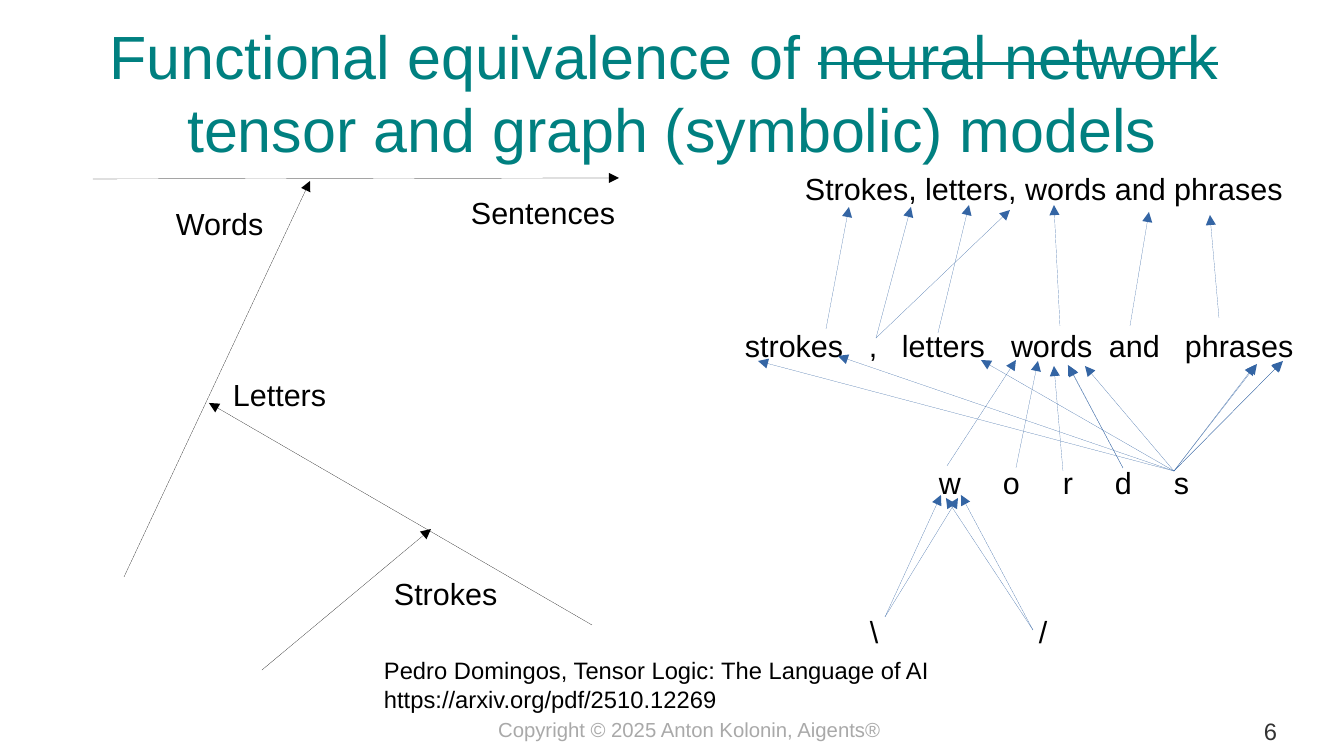
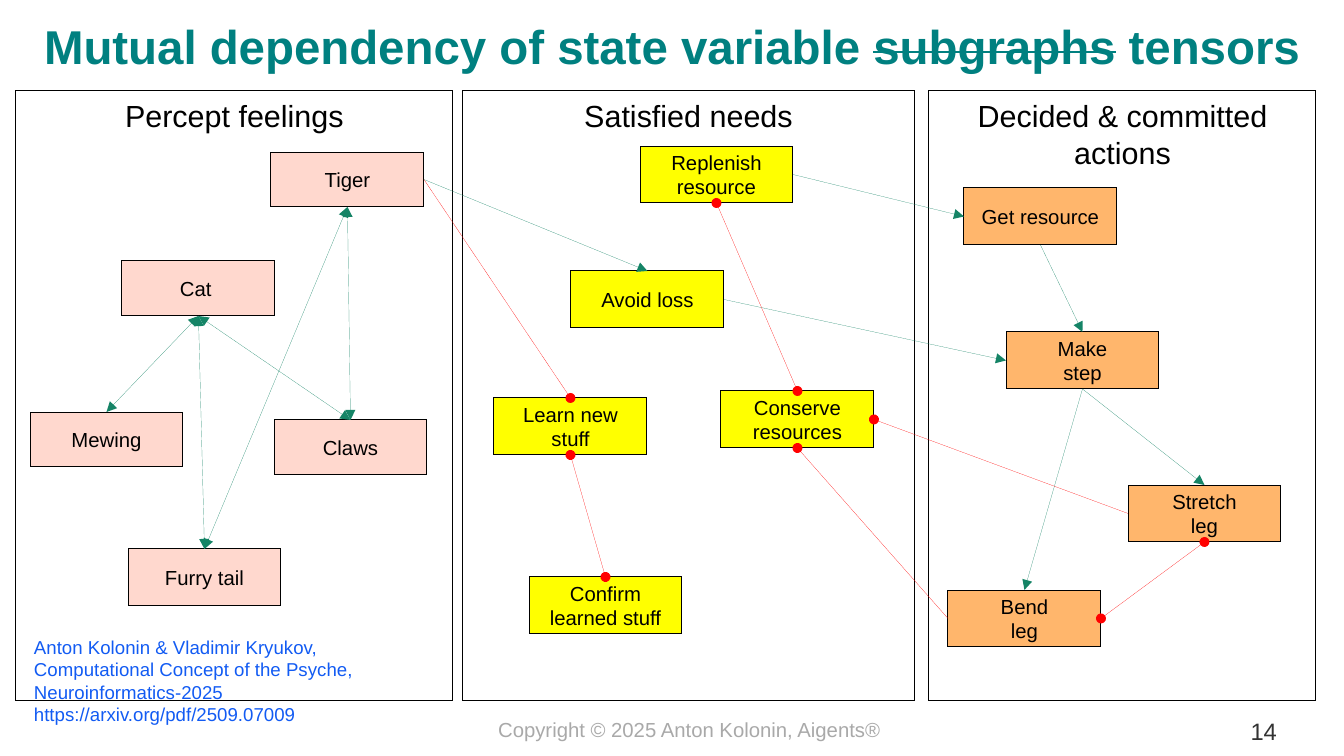
import dataclasses

import lxml.etree
import pptx
import pptx.dml.color
import pptx.enum.shapes
import pptx.enum.text
import pptx.oxml.ns
import pptx.util

UNIT = 914400 / 122
WIDE, HIGH = 1344, 756
TOP, LEFT, BASE, RIGHT = range(4)
ALIGN = pptx.enum.text.PP_ALIGN
ANCHOR = pptx.enum.text.MSO_ANCHOR


@dataclasses.dataclass(frozen=True)
class Theme:
    """Colours and type sizes of the deck."""
    face: str = "Arial"
    teal: str = "008080"
    ink: str = "000000"
    grey: str = "A9A9A9"
    dark: str = "333333"
    blue: str = "3465A4"
    link: str = "125BF3"
    green: str = "158466"
    red: str = "FF0000"
    pink: str = "FFD8CE"
    gold: str = "FFFF00"
    peach: str = "FFB66C"
    head: int = 36
    bold: int = 28
    body: int = 18
    note: int = 14
    small: int = 12
    cite: int = 11


THEME = Theme()


def px(num):
    """Turn px into EMU."""
    return pptx.util.Emu(round(num * UNIT))


def rgb(code):
    """Turn a hex code into a colour."""
    return pptx.dml.color.RGBColor.from_string(code)


def put(item, form):
    """Set each named value on an object."""
    for name, value in form.items():
        setattr(item, name, value)


def hair(line, code):
    """Make a line a coloured hairline and return its element."""
    line.color.rgb = rgb(code)
    pen = line._get_or_add_ln()
    pen.set("w", "0")
    return pen


class Deck:
    """Holds the style and the current slide."""

    def __init__(self, theme):
        """Start an empty deck."""
        self.theme = theme
        self.show = pptx.Presentation()
        put(self.show, {"slide_width": px(WIDE), "slide_height": px(HIGH)})
        self.slide = None

    def page(self, num):
        """Add a slide with its footer and number."""
        look = self.theme
        self.slide = self.show.slides.add_slide(self.show.slide_layouts[6])
        self.text((381, 717, 617, 24), ["Copyright © 2025 Anton Kolonin, Aigents®"],
                  look.small, look.grey, ALIGN.CENTER)
        self.text((1177, 717, 100, 24), [str(num)], look.note, look.dark, ALIGN.RIGHT)

    def fill(self, shape, lines, size, code, align, bold=False):
        """Write lines; a run in a tuple is struck out."""
        frame = shape.text_frame
        frame.word_wrap = True
        form = {"name": self.theme.face, "size": pptx.util.Pt(size), "bold": bold}
        for at, line in enumerate(lines):
            para = frame.add_paragraph() if at else frame.paragraphs[0]
            para.alignment = align
            for part in [line] if isinstance(line, str) else line:
                run = para.add_run()
                struck = isinstance(part, tuple)
                run.text = part[0] if struck else part
                put(run.font, form)
                run.font.color.rgb = rgb(code)
                if struck:
                    run._r.get_or_add_rPr().set("strike", "sngStrike")

    def text(self, area, lines, size, code, align=ALIGN.LEFT, bold=False, anchor=ANCHOR.TOP):
        """Add a text box without insets."""
        shape = self.slide.shapes.add_textbox(*map(px, area))
        sides = ("left", "top", "right", "bottom")
        put(shape.text_frame, {f"margin_{side}": 0 for side in sides})
        shape.text_frame.vertical_anchor = anchor
        self.fill(shape, lines, size, code, align, bold)

    def title(self, high, lines, size, bold=False):
        """Add the title across the top."""
        self.text((0, 0, WIDE, high), lines, size, self.theme.teal,
                  ALIGN.CENTER, bold, ANCHOR.MIDDLE)

    def label(self, left, top, word):
        """Add a label as wide as its wording needs."""
        self.text((left, top, 15 * len(word) + 24, 36), [word],
                  self.theme.body, self.theme.ink)

    def box(self, area, lines, size, tint=None, anchor=ANCHOR.MIDDLE):
        """Add a framed box."""
        kind = pptx.enum.shapes.MSO_SHAPE.RECTANGLE
        shape = self.slide.shapes.add_shape(kind, *map(px, area))
        shape.shadow.inherit = False
        if tint:
            shape.fill.solid()
            shape.fill.fore_color.rgb = rgb(tint)
        else:
            shape.fill.background()
        hair(shape.line, self.theme.ink)
        shape.text_frame.vertical_anchor = anchor
        self.fill(shape, lines, size, self.theme.ink, ALIGN.CENTER)
        return shape

    def line(self, ends, code, tail="triangle", both=False):
        """Add a hairline with a mark at its end or at both ends."""
        kind = pptx.enum.shapes.MSO_CONNECTOR.STRAIGHT
        wire = self.slide.shapes.add_connector(kind, *map(px, ends))
        name = pptx.oxml.ns.qn
        pen = hair(wire.line, code)
        for tag in ("a:headEnd", "a:tailEnd") if both else ("a:tailEnd",):
            lxml.etree.SubElement(pen, name(tag)).set("type", tail)
        lxml.etree.SubElement(wire._element.spPr, name("a:effectLst"))
        return wire

    def join(self, start, end, code, tail, both):
        """Glue a line to the sites of two boxes."""
        wire = self.line((0, 0, 0, 0), code, tail, both)
        wire.begin_connect(*start)
        wire.end_connect(*end)


def models(deck):
    """Build the slide on tensor and graph models."""
    look = deck.theme
    deck.page(6)
    deck.title(183, [["Functional equivalence of ", ("neural network",), " "],
                     "tensor and graph (symbolic) models"], look.head)
    rows = {
        170: [(805, "Strokes, letters, words and phrases")],
        327: [(745, "strokes"), (869, ","), (902, "letters"), (1011, "words"),
              (1109, "and"), (1185, "phrases")],
        464: [(939, "w"), (1003, "o"), (1063, "r"), (1115, "d"), (1174, "s")],
        613: [(870, "\\"), (1039, "/")],
        194: [(471, "Sentences")],
        205: [(176, "Words")],
        376: [(233, "Letters")],
        575: [(394, "Strokes")],
    }
    for top, words in rows.items():
        for left, word in words:
            deck.label(left, top, word)
    fans = {
        (826, 329): [(849, 207)],
        (876, 338): [(911, 207), (1010, 210)],
        (938, 333): [(969, 205)],
        (1060, 326): [(1054, 205)],
        (1130, 326): [(1149, 212)],
        (1219, 318): [(1210, 215)],
        (947, 466): [(1016, 360)],
        (1016, 468): [(1038, 361)],
        (1063, 471): [(1054, 366)],
        (1123, 468): [(1068, 365), (1069, 366)],
        (1174, 471): [(758, 361), (838, 356), (981, 360), (1085, 366), (1255, 365),
                      (1257, 364), (1282, 362), (1283, 361)],
        (885, 617): [(941, 495), (958, 498)],
        (1033, 630): [(946, 498), (961, 495)],
    }
    for start, ends in fans.items():
        for end in ends:
            deck.line(start + end, look.blue)
    for ends in [(93, 179, 619, 178), (124, 577, 310, 181),
                 (592, 625, 209, 403), (262, 670, 431, 529)]:
        deck.line(ends, look.ink)
    deck.text((384, 656, 600, 60),
              ["Pedro Domingos, Tensor Logic: The Language of AI",
               "https://arxiv.org/pdf/2510.12269"], look.note, look.ink)


def states(deck):
    """Build the slide on mutual dependency of states."""
    look = deck.theme
    deck.page(14)
    for left, wide, name in [(16, 437, "Percept feelings"), (462, 453, "Satisfied needs"),
                             (929, 387, "Decided & committed actions")]:
        deck.box((left, 91, wide, 610), [name], look.body, anchor=ANCHOR.TOP)
    deck.title(91, [["Mutual dependency of state variable ", ("subgraphs",), " tensors"]],
               look.bold, True)
    nodes = {
        look.pink: [("tiger", 271, 152, 55, ["Tiger"]), ("cat", 122, 261, 55, ["Cat "]),
                    ("mew", 30, 412, 55, ["Mewing"]), ("claws", 274, 420, 55, ["Claws"]),
                    ("fur", 128, 549, 57, ["Furry tail"])],
        look.gold: [("fresh", 640, 146, 57, ["Replenish resource"]),
                    ("avoid", 571, 271, 57, ["Avoid loss"]),
                    ("learn", 494, 398, 57, ["Learn new stuff"]),
                    ("save", 721, 391, 57, ["Conserve", "resources"]),
                    ("prove", 529, 577, 57, ["Confirm learned stuff"])],
        look.peach: [("get", 964, 188, 57, ["Get resource"]),
                     ("make", 1006, 332, 57, ["Make", "step"]),
                     ("reach", 1128, 485, 57, ["Stretch", "leg"]),
                     ("bend", 948, 590, 57, ["Bend", "leg"])],
    }
    box = {}
    for tint, group in nodes.items():
        for key, left, top, high, lines in group:
            box[key] = deck.box((left, top, 153, high), lines, look.small, tint)
    links = {
        (look.green, "triangle", True): [
            ("mew", TOP, "cat", BASE), ("cat", BASE, "fur", TOP),
            ("cat", BASE, "claws", TOP), ("tiger", BASE, "fur", TOP),
            ("tiger", BASE, "claws", TOP)],
        (look.green, "triangle", False): [
            ("make", BASE, "bend", TOP), ("get", BASE, "make", TOP),
            ("make", BASE, "reach", TOP), ("fresh", RIGHT, "get", LEFT),
            ("avoid", RIGHT, "make", LEFT), ("tiger", RIGHT, "avoid", TOP)],
        (look.red, "oval", True): [
            ("bend", RIGHT, "reach", BASE), ("prove", TOP, "learn", BASE),
            ("save", TOP, "fresh", BASE)],
        (look.red, "oval", False): [
            ("bend", LEFT, "save", BASE), ("reach", LEFT, "save", RIGHT),
            ("tiger", RIGHT, "learn", TOP)],
    }
    for form, pairs in links.items():
        for start, out, end, into in pairs:
            deck.join((box[start], out), (box[end], into), *form)
    deck.text((34, 636, 346, 92),
              ["Anton Kolonin & Vladimir Kryukov,", "Computational Concept of the Psyche,",
               "Neuroinformatics-2025", "https://arxiv.org/pdf/2509.07009"],
              look.cite, look.link)


def main():
    """Build and save the deck."""
    deck = Deck(THEME)
    models(deck)
    states(deck)
    deck.show.save("out.pptx")


if __name__ == "__main__":
    main()
